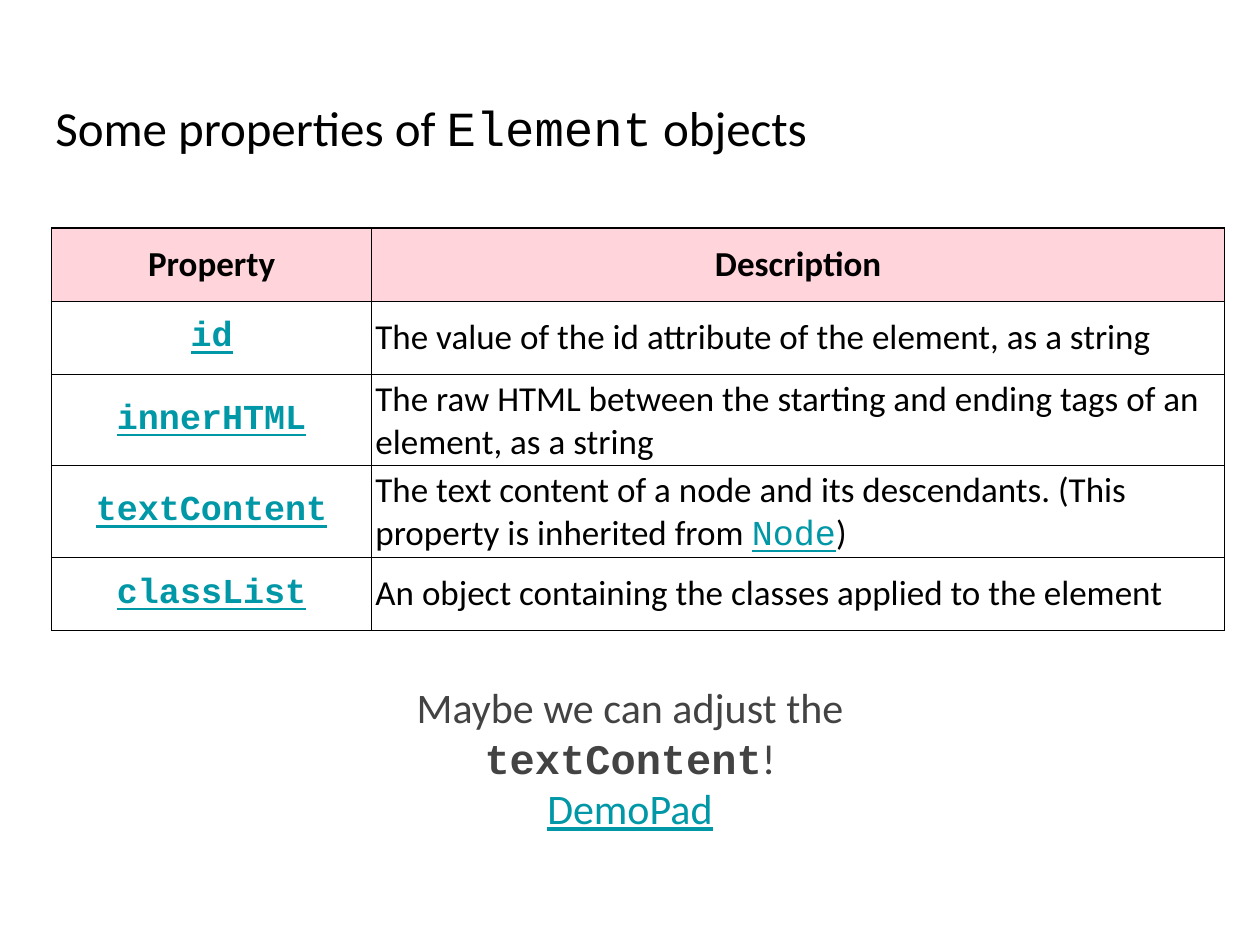
from lxml.etree import SubElement
from pptx import Presentation
from pptx.dml.color import RGBColor
from pptx.enum.text import MSO_ANCHOR, PP_ALIGN
from pptx.oxml.ns import qn
from pptx.util import Inches, Pt

WIDTH, HEIGHT = 10, 7.5
BLACK, GREY, TEAL, PINK = "000000", "434343", "0097A7", "FFC2CC"
SANS, MONO = "Calibri", "Courier New"
LINK = {"font": MONO, "color": TEAL, "underline": True}

PROPERTIES = [
    ("id", [("The value of the id attribute of the element, as a string", {})]),
    ("innerHTML", [("The raw HTML between the starting and ending tags of an element, as a string", {})]),
    ("textContent", [
        ("The text content of a node and its descendants. (This property is inherited from ", {}),
        ("Node", LINK),
        (")", {}),
    ]),
    ("classList", [("An object containing the classes applied to the element", {})]),
]


def color_of(hex_string):
    """Turn a hex string into a colour."""
    return RGBColor.from_string(hex_string)


def add_run(paragraph, text, size, font=SANS, color=BLACK, bold=False, underline=False):
    """Append one formatted run to a paragraph."""
    run = paragraph.add_run()
    run.text = text
    run.font.name = font
    run.font.size = Pt(size)
    run.font.color.rgb = color_of(color)
    run.font.bold = bold
    run.font.underline = underline


def fill_paragraph(paragraph, runs, size, align=PP_ALIGN.LEFT):
    """Align a paragraph and write its runs."""
    paragraph.alignment = align
    for text, style in runs:
        add_run(paragraph, text, size, **style)


def add_text(slide, box, paragraphs, size, align=PP_ALIGN.LEFT):
    """Add a wrapped text box, placed by shares of the slide's size."""
    left, top, width, height = box
    shape = slide.shapes.add_textbox(
        Inches(left * WIDTH), Inches(top * HEIGHT), Inches(width * WIDTH), Inches(height * HEIGHT))
    frame = shape.text_frame
    frame.word_wrap = True
    frame.margin_left = frame.margin_right = frame.margin_top = frame.margin_bottom = Inches(0.1)
    for index, runs in enumerate(paragraphs):
        paragraph = frame.add_paragraph() if index else frame.paragraphs[0]
        fill_paragraph(paragraph, runs, size, align)


def add_borders(cell, color, width):
    """Draw a solid line on all four sides of a cell."""
    properties = cell._tc.get_or_add_tcPr()
    for side in ("a:lnL", "a:lnR", "a:lnT", "a:lnB"):
        line = SubElement(properties, qn(side), w=str(Pt(width)))
        SubElement(SubElement(line, qn("a:solidFill")), qn("a:srgbClr"), val=color)


def fill_cell(cell, runs, align, fill=None):
    """Write a bordered cell, with a translucent fill if one is given."""
    cell.vertical_anchor = MSO_ANCHOR.MIDDLE
    cell.margin_left = cell.margin_right = cell.margin_top = cell.margin_bottom = Inches(0.03)
    fill_paragraph(cell.text_frame.paragraphs[0], runs, 20, align)
    add_borders(cell, BLACK, 0.75)
    if fill:
        cell.fill.solid()
        cell.fill.fore_color.rgb = color_of(fill)
        color = cell._tc.tcPr.find(qn("a:solidFill")).find(qn("a:srgbClr"))
        SubElement(color, qn("a:alpha"), val="70000")
    else:
        cell.fill.background()


def add_property_table(slide, left, top, column_widths, row_height):
    """Add the table of properties below a tinted header row."""
    count = len(PROPERTIES) + 1
    table = slide.shapes.add_table(
        count, len(column_widths), Inches(left), Inches(top),
        Inches(sum(column_widths)), Inches(row_height * count)).table
    table.first_row = table.horz_banding = False
    for column, width in zip(table.columns, column_widths):
        column.width = Inches(width)
    for row in table.rows:
        row.height = Inches(row_height)
    for index, heading in enumerate(("Property", "Description")):
        fill_cell(table.cell(0, index), [(heading, {"bold": True})], PP_ALIGN.CENTER, PINK)
    for index, (name, description) in enumerate(PROPERTIES, start=1):
        fill_cell(table.cell(index, 0), [(name, {**LINK, "bold": True})], PP_ALIGN.CENTER)
        fill_cell(table.cell(index, 1), description, PP_ALIGN.LEFT)


def main():
    """Build the slide and save it."""
    presentation = Presentation()
    presentation.slide_width, presentation.slide_height = Inches(WIDTH), Inches(HEIGHT)
    slide = presentation.slides.add_slide(presentation.slide_layouts[6])
    title = [("Some properties of ", {}), ("Element", {"font": MONO}), (" objects", {})]
    add_text(slide, (0.034, 0.09, 0.932, 0.11), [title], 28)
    add_property_table(slide, 0.41, 1.81, (2.54, 6.77), 0.58)
    suggestion = [
        ("Maybe we can adjust the ", {"color": GREY}),
        ("textContent", {"font": MONO, "color": GREY, "bold": True}),
        ("!", {"color": GREY}),
    ]
    demo = [("DemoPad", {"color": TEAL, "underline": True})]
    add_text(slide, (0.32, 0.708, 0.36, 0.227), [suggestion, demo], 24, PP_ALIGN.CENTER)
    presentation.save("out.pptx")


if __name__ == "__main__":
    main()
